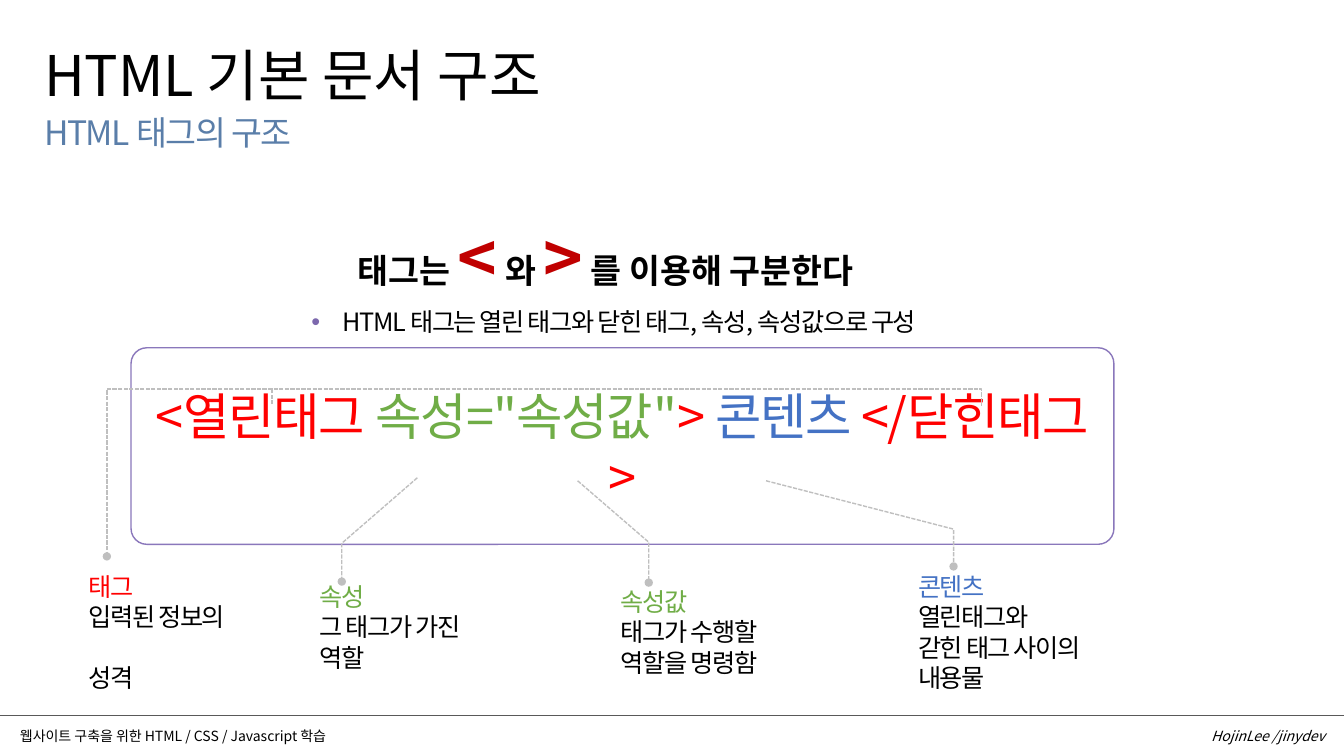
import pptx
import pptx.dml.color
import pptx.enum.dml
import pptx.enum.shapes
import pptx.enum.text
import pptx.oxml
import pptx.oxml.ns
import pptx.util
from dataclasses import dataclass
from lxml import etree

ALIGN = pptx.enum.text.PP_ALIGN


@dataclass(frozen=True)
class Theme:
    font: str = "Noto Sans CJK KR"
    ink: str = "000000"
    subtitle: str = "5A7EA9"
    bullet: str = "7C68AD"
    frame: str = "8A77BB"
    tag: str = "FF0000"
    attribute: str = "70AD47"
    content: str = "4472C4"
    bracket: str = "C00000"
    leader: str = "BFBFBF"
    rule: str = "595959"
    title_size: int = 40
    code_size: int = 36
    bracket_size: int = 48
    heading_size: int = 24
    body_size: int = 18
    footer_size: int = 10


def apply_format(target, values):
    for name, value in values.items():
        setattr(target, name, value)


def add_element(parent, tag, **attributes):
    return etree.SubElement(parent, pptx.oxml.ns.qn(tag), attributes)


class SlideBuilder:
    def __init__(self, presentation, theme):
        self.theme = theme
        self.width = presentation.slide_width
        self.height = presentation.slide_height
        self.slide = presentation.slides.add_slide(presentation.slide_layouts[6])

    def point(self, x, y):
        return round(self.width * x / 100), round(self.height * y / 100)

    def area(self, left, top, width, height):
        return *self.point(left, top), *self.point(width, height)

    def style_line(self, line, color, width):
        line.color.rgb = pptx.dml.color.RGBColor.from_string(color)
        line.width = pptx.util.Pt(width)

    def add_runs(self, paragraph, runs, size, tight=False, **font_format):
        for text, color, *own_size in runs:
            for index, part in enumerate(text.split("\n")):
                if index:
                    paragraph.add_line_break()
                if not part:
                    continue
                run = paragraph.add_run()
                run.text = part
                apply_format(run.font, {
                    "name": self.theme.font,
                    "size": pptx.util.Pt(own_size[0] if own_size else size),
                    **font_format,
                })
                run.font.color.rgb = pptx.dml.color.RGBColor.from_string(color)
                properties = run._r.get_or_add_rPr()
                add_element(properties, "a:ea", typeface=self.theme.font)
                if tight:
                    properties.set("spc", "-100")

    def text(self, area, runs, size, wrap=True, layout=None, **font_format):
        frame = self.slide.shapes.add_textbox(*self.area(*area)).text_frame
        apply_format(frame, {
            "word_wrap": wrap,
            "auto_size": pptx.enum.text.MSO_AUTO_SIZE.SHAPE_TO_FIT_TEXT,
        })
        paragraph = frame.paragraphs[0]
        apply_format(paragraph, layout or {})
        self.add_runs(paragraph, runs, size, **font_format)
        return paragraph

    def bullet(self, area, runs, size):
        layout = {"line_spacing": 1.5, "space_before": pptx.util.Pt(6)}
        paragraph = self.text(area, runs, size, layout=layout, tight=True)
        properties = paragraph._p.get_or_add_pPr()
        indent = pptx.util.Inches(0.31)
        properties.set("marL", str(indent))
        properties.set("indent", str(-indent))
        color = add_element(properties, "a:buClr")
        add_element(color, "a:srgbClr", val=self.theme.bullet)
        add_element(properties, "a:buFont", typeface="Arial")
        add_element(properties, "a:buChar", char="•")

    def code_frame(self, area, runs):
        shape = self.slide.shapes.add_shape(
            pptx.enum.shapes.MSO_SHAPE.ROUNDED_RECTANGLE, *self.area(*area))
        shape.adjustments[0] = 0.08
        shape.shadow.inherit = False
        shape.fill.background()
        self.style_line(shape.line, self.theme.frame, 1)
        apply_format(shape.text_frame, {
            "word_wrap": True,
            "vertical_anchor": pptx.enum.text.MSO_ANCHOR.MIDDLE,
        })
        paragraph = shape.text_frame.paragraphs[0]
        apply_format(paragraph, {
            "alignment": ALIGN.CENTER, "space_before": pptx.util.Pt(6)})
        self.add_runs(paragraph, runs, self.theme.code_size, tight=True)

    def leader(self, points, dot=True):
        start, *others = [self.point(*position) for position in points]
        builder = self.slide.shapes.build_freeform(*start)
        builder.add_line_segments(others, close=False)
        shape = builder.convert_to_shape()
        shape.shadow.inherit = False
        shape.fill.background()
        self.style_line(shape.line, self.theme.leader, 1)
        shape.line.dash_style = pptx.enum.dml.MSO_LINE.SQUARE_DOT
        if dot:
            add_element(shape._element.spPr.get_or_add_ln(), "a:tailEnd", type="oval")

    def rule(self, y):
        connector = self.slide.shapes.add_connector(
            pptx.enum.shapes.MSO_CONNECTOR.STRAIGHT,
            *self.point(0, y), *self.point(100, y))
        self.style_line(connector.line, self.theme.rule, 0.5)
        add_element(connector._element.spPr, "a:effectLst")


def main():
    presentation = pptx.Presentation()
    apply_format(presentation, {
        "slide_width": pptx.util.Inches(13.33),
        "slide_height": pptx.util.Inches(7.5),
    })
    theme = Theme()
    page = SlideBuilder(presentation, theme)

    page.text((2.55, 4.67, 50, 10.27),
              [("HTML 기본 문서 구조", theme.ink)], theme.title_size)
    page.text((2.55, 14.13, 58.05, 6.67),
              [("HTML 태그의 구조", theme.subtitle)], theme.heading_size, tight=True)
    page.bullet((22.43, 37.87, 65.93, 6.8),
                [("HTML 태그는 열린 태그와 닫힌 태그, 속성, 속성값으로 구성", theme.ink)],
                theme.body_size)
    page.code_frame((9.75, 46, 73.13, 26), [
        ("<열린태그 ", theme.tag),
        ('속성="속성값"', theme.attribute),
        ("> ", theme.tag),
        ("콘텐츠 ", theme.content),
        ("</닫힌태그>", theme.tag),
    ])

    callouts = [
        ((5.85, 74.93, 11.93, 13.47), "태그 \n", theme.tag, "입력된 정보의 \n성격"),
        ((23.03, 76.27, 12.3, 13.47), "속성\n", theme.attribute, "그 태그가 가진 \n역할"),
        ((45.45, 76.93, 12.3, 13.47), "속성값\n", theme.attribute,
         "태그가 수행할 \n역할을 명령함"),
        ((67.58, 74.93, 13.95, 17.47), "콘텐츠\n", theme.content,
         "열린태그와\n갇힌 태그 사이의 \n내용물"),
    ]
    for area, term, color, meaning in callouts:
        page.text(area, [(term, color), (meaning, theme.ink)],
                  theme.body_size, wrap=False, tight=True)

    page.leader([(20.25, 53.47), (20.25, 51.47), (73.05, 51.47), (73.05, 53.73)],
                dot=False)
    for points in (
        [(20.25, 51.47), (7.95, 51.47), (7.95, 73.6)],
        [(31.05, 63.2), (25.43, 71.87), (25.43, 76.93)],
        [(42.98, 63.6), (48.27, 71.73), (48.27, 77.07)],
        [(57, 63.6), (70.95, 70), (70.95, 74.93)],
    ):
        page.leader(points)

    page.text((13.13, 22.67, 63.83, 15.47), [
        ("태그는 ", theme.ink),
        ("<", theme.bracket, theme.bracket_size),
        (" 와 ", theme.ink),
        (">", theme.bracket, theme.bracket_size),
        (" 를 이용해 구분한다", theme.ink),
    ], theme.heading_size, bold=True,
        layout={"alignment": ALIGN.CENTER, "line_spacing": 1.5})

    page.rule(94.67)
    page.text((76.13, 95.6, 23.18, 3.6), [("HojinLee /jinydev", theme.ink)],
              theme.footer_size, layout={"alignment": ALIGN.RIGHT}, italic=True)
    page.text((0.75, 95.6, 31.58, 3.6),
              [("웹사이트 구축을 위한 HTML / CSS / Javascript 학습", theme.ink)],
              theme.footer_size)
    presentation.save("out.pptx")


if __name__ == "__main__":
    main()
